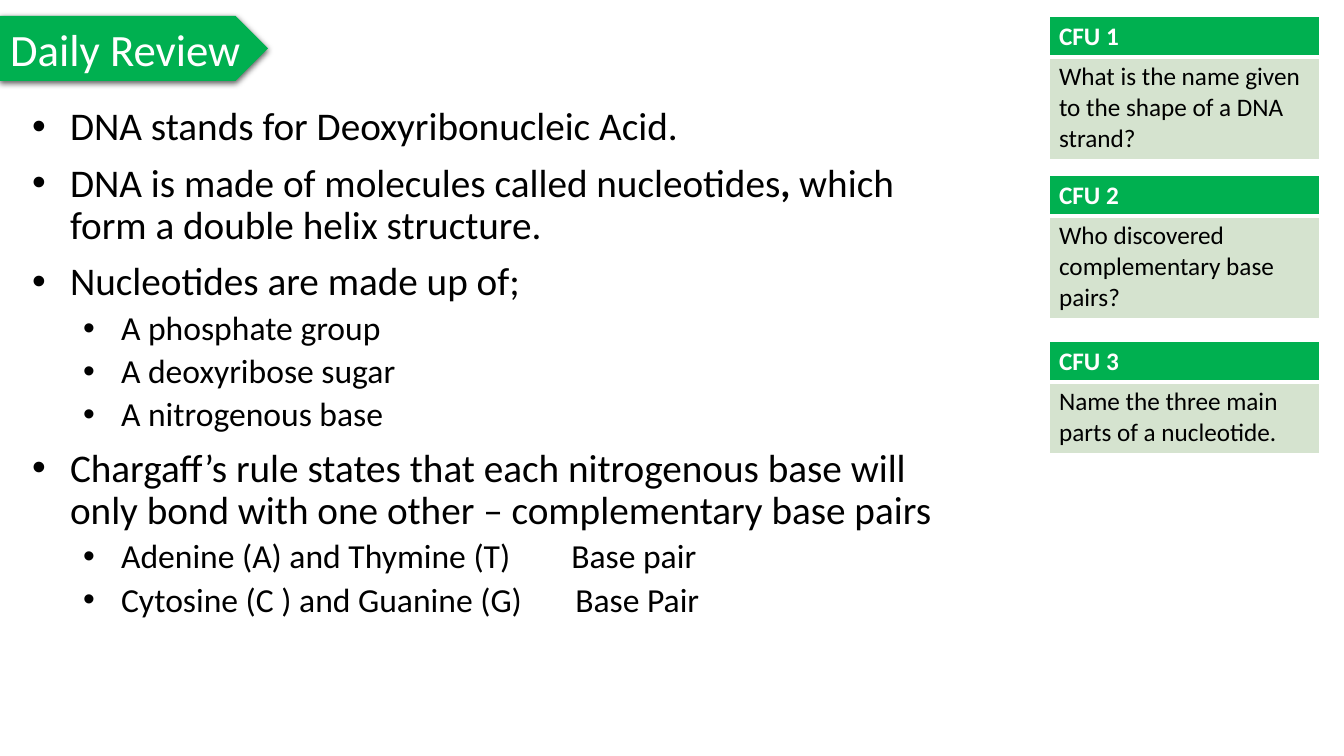
import pptx
import pptx.dml.color
import pptx.enum.shapes
import pptx.enum.text
import pptx.oxml
import pptx.oxml.ns
import pptx.util


def colour(value):
    return pptx.dml.color.RGBColor.from_string(value)


def px(count):
    return round(count * 914400 / 100.8)


def element(markup):
    head, rest = markup.split(" ", 1)
    return pptx.oxml.parse_xml(f"{head} {pptx.oxml.ns.nsdecls('a')} {rest}")


class ReviewSlide:
    font = "Calibri"
    green = "00B050"
    pale = "D5E3CF"
    black = "000000"
    white = "FFFFFF"

    def __init__(self, presentation):
        self.slide = presentation.slides.add_slide(presentation.slide_layouts[1])

    def place(self, shape, left, top, width, height):
        shape.left, shape.top = px(left), px(top)
        shape.width, shape.height = px(width), px(height)

    def run(self, paragraph, text, size, ink, bold=False):
        run = paragraph.add_run()
        run.text = text
        run.font.name = self.font
        run.font.size = pptx.util.Pt(size)
        run.font.bold = bold
        run.font.color.rgb = colour(ink)
        return run

    def banner(self, left, top, width, height):
        shapes = self.slide.shapes
        shape = shapes.add_shape(
            pptx.enum.shapes.MSO_SHAPE.PENTAGON, px(left), px(top), px(width), px(height))
        shape.fill.solid()
        shape.fill.fore_color.rgb = colour(self.green)
        shape.line.fill.background()
        shape.shadow.inherit = False
        effects = shape._element.spPr.find(pptx.oxml.ns.qn("a:effectLst"))
        effects.append(element(
            '<a:outerShdw blurRad="57150" dist="19050" dir="5400000">'
            '<a:srgbClr val="000000"><a:alpha val="63000"/></a:srgbClr></a:outerShdw>'))
        shapes._spTree.insert(2, shape._element)

    def title(self, text, left, top, width, height):
        shape = self.slide.shapes.title
        self.place(shape, left, top, width, height)
        frame = shape.text_frame
        frame.word_wrap = False
        frame.auto_size = pptx.enum.text.MSO_AUTO_SIZE.NONE
        frame.vertical_anchor = pptx.enum.text.MSO_ANCHOR.MIDDLE
        paragraph = frame.paragraphs[0]
        paragraph.alignment = pptx.enum.text.PP_ALIGN.LEFT
        self.run(paragraph, text, 32, self.white)

    def bullets(self, items, left, top, width, height):
        shape = self.slide.placeholders[1]
        self.place(shape, left, top, width, height)
        frame = shape.text_frame
        frame.word_wrap = True
        frame.auto_size = pptx.enum.text.MSO_AUTO_SIZE.NONE
        for index, (level, pieces) in enumerate(items):
            paragraph = frame.add_paragraph() if index else frame.paragraphs[0]
            paragraph.level = level
            paragraph.line_spacing = 0.9
            space = 5 if level else 10
            paragraph.space_before = pptx.util.Pt(space if index else 0)
            properties = paragraph._p.get_or_add_pPr()
            properties.set("marL", str(px(89 if level else 38)))
            properties.set("indent", str(px(-38)))
            properties.append(element('<a:buFont typeface="Arial"/>'))
            properties.append(element('<a:buChar char="•"/>'))
            for text, bold, spacing in pieces:
                run = self.run(paragraph, text, 24 if level else 28, self.black, bold)
                if spacing:
                    run.font._element.set("spc", str(spacing))

    def cell(self, cell, text, fill, ink, bold, bottom):
        cell.fill.solid()
        cell.fill.fore_color.rgb = colour(fill)
        self.run(cell.text_frame.paragraphs[0], text, 18, ink, bold)
        properties = cell._tc.get_or_add_tcPr()
        for index, side in enumerate("LRTB"):
            weight = pptx.util.Pt(bottom if side == "B" else 1)
            properties.insert(index, element(
                f'<a:ln{side} w="{weight}"><a:solidFill><a:srgbClr val="{self.white}"/>'
                f'</a:solidFill></a:ln{side}>'))

    def question(self, heading, text, left, top, width, height):
        header = 40
        table = self.slide.shapes.add_table(
            2, 1, px(left), px(top), px(width), px(height)).table
        table.rows[0].height = px(header)
        table.rows[1].height = px(height - header)
        self.cell(table.cell(0, 0), heading, self.green, self.white, True, 3)
        self.cell(table.cell(1, 0), text, self.pale, self.black, False, 1)


def plain(level, text):
    return level, [(text, False, 0)]


def pair(bases, gap, label):
    return 1, [(bases, False, 0), (" ", False, gap), (label, False, 0)]


def main():
    presentation = pptx.Presentation()
    presentation.slide_width, presentation.slide_height = px(1344), px(756)
    review = ReviewSlide(presentation)
    review.banner(0, 16, 268, 65)
    review.title("Daily Review", 0, 16, 268, 65)
    review.bullets([
        plain(0, "DNA stands for Deoxyribonucleic Acid."),
        (0, [("DNA is made of molecules called nucleotides", False, 0),
             (", ", True, 0),
             ("which form a double helix structure.", False, 0)]),
        plain(0, "Nucleotides are made up of;"),
        plain(1, "A phosphate group"),
        plain(1, "A deoxyribose sugar"),
        plain(1, "A nitrogenous base"),
        plain(0, "Chargaff’s rule states that each nitrogenous base will "
                 "only bond with one other – complementary base pairs"),
        pair("Adenine (A) and Thymine (T)", 3800, "Base pair"),
        pair("Cytosine (C ) and Guanine (G)", 3250, "Base Pair"),
    ], 22, 102, 938, 631)
    questions = [
        ("What is the name given to the shape of a DNA strand?", 16, 141),
        ("Who discovered complementary base pairs?", 175, 141),
        ("Name the three main parts of a nucleotide.", 341, 111),
    ]
    for number, (text, top, height) in enumerate(questions, 1):
        review.question(f"CFU {number}", text, 1049, top, 271, height)
    presentation.save("out.pptx")


if __name__ == "__main__":
    main()
